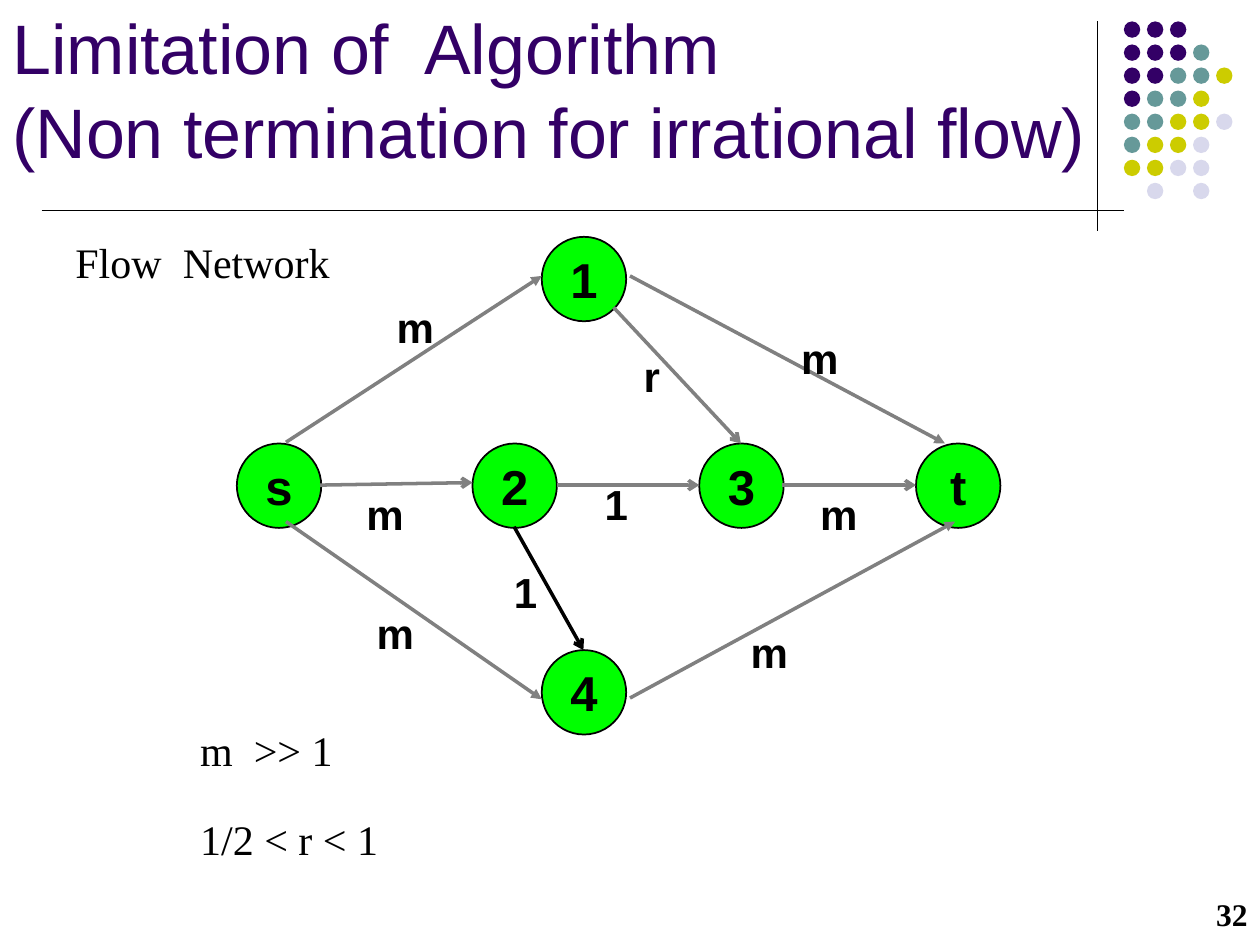
from typing import NamedTuple

from lxml.etree import SubElement
from pptx import Presentation
from pptx.dml.color import RGBColor
from pptx.enum.shapes import MSO_CONNECTOR as Connector, MSO_SHAPE as Shape
from pptx.enum.text import MSO_ANCHOR as Anchor, PP_ALIGN as Align
from pptx.oxml.ns import qn
from pptx.util import Inches, Pt

BLACK, GREY, GREEN, PURPLE = "000000", "808080", "00FF00", "330066"
SANS, SERIF = "Arial", "Times New Roman"
NODE_SIZE = 0.67
DOT_SIZE, DOT_STEP = 0.13, 0.183
DOT_COLORS = {"P": PURPLE, "T": "669999", "Y": "CCCC00", "L": "D8D8EC"}
DOT_ROWS = ["PPP", "PPPT", "PPTTY", "PTTY", "TTYYL", "TYYL", "YYLL", " L L"]


class Node(NamedTuple):
    """A vertex of the flow network."""
    name: str
    left: float
    top: float


class Edge(NamedTuple):
    """An arrow between two points."""
    start: tuple[float, float]
    end: tuple[float, float]
    head: str = "arrow"
    color: str = GREY


class Label(NamedTuple):
    """A piece of text and its box."""
    text: str
    left: float
    top: float
    width: float = 0.58
    height: float = 0.5
    font: str = SANS
    size: int = 24
    bold: bool = True
    color: str = BLACK
    align: Align = Align.LEFT
    anchor: Anchor = Anchor.TOP


NODES = [
    Node("s", 1.88, 3.52), Node("2", 3.75, 3.52), Node("3", 5.55, 3.52),
    Node("t", 7.27, 3.52), Node("1", 4.3, 1.88), Node("4", 4.3, 5.16),
]
EDGES = [
    Edge((2.27, 3.51), (4.3, 2.19), "triangle"),
    Edge((5, 2.19), (7.5, 3.52), "triangle"),
    Edge((2.27, 4.14), (4.3, 5.55), "triangle"),
    Edge((5, 5.54), (7.58, 4.14), "triangle"),
    Edge((2.54, 3.85), (3.75, 3.83)),
    Edge((4.42, 3.85), (5.55, 3.85)),
    Edge((6.21, 3.85), (7.27, 3.85)),
    Edge((4.87, 2.44), (5.88, 3.52)),
    Edge((4.08, 4.18), (4.63, 5.16), color=BLACK),
]
CAPACITIES = [
    Label("m", 3.05, 2.34), Label("m", 6.26, 2.59), Label("r", 5.01, 2.73),
    Label("m", 2.81, 3.83), Label("1", 4.7, 3.75), Label("m", 6.41, 3.83),
    Label("1", 3.98, 4.45), Label("m", 2.89, 4.77), Label("m", 5.86, 4.92),
]
NOTES = [
    Label("Flow  Network", 0.5, 1.83, 2.22, font=SERIF, bold=False),
    Label("m  >> 1", 1.49, 5.7, 1.25, font=SERIF, bold=False),
    Label("1/2 < r < 1", 1.49, 6.41, 1.61, font=SERIF, bold=False),
]
TITLE = Label("Limitation of  Algorithm\v(Non termination for irrational flow)",
              0, 0.25, 9.67, 1.17, size=40, bold=False, color=PURPLE,
              anchor=Anchor.BOTTOM)
PAGE_NUMBER = Label("32", 8.08, 7, 1.92, font=SERIF, size=18,
                    align=Align.RIGHT, anchor=Anchor.MIDDLE)


def rgb(color: str) -> RGBColor:
    """Turn a hex string into a colour."""
    return RGBColor.from_string(color)


def write_text(shape, label: Label, wrap: bool) -> None:
    """Fill a shape with the text of a label and format it."""
    frame = shape.text_frame
    frame.word_wrap = wrap
    frame.vertical_anchor = label.anchor
    paragraph = frame.paragraphs[0]
    paragraph.text = label.text
    paragraph.alignment = label.align
    for run in paragraph.runs:
        run.font.name = label.font
        run.font.size = Pt(label.size)
        run.font.bold = label.bold
        run.font.color.rgb = rgb(label.color)


def add_label(slide, label: Label, wrap: bool = True) -> None:
    """Add a text box."""
    box = slide.shapes.add_textbox(Inches(label.left), Inches(label.top),
                                   Inches(label.width), Inches(label.height))
    write_text(box, label, wrap)


def add_circle(slide, left: float, top: float, size: float, color: str):
    """Add a filled circle without an outline."""
    circle = slide.shapes.add_shape(Shape.OVAL, Inches(left), Inches(top),
                                    Inches(size), Inches(size))
    circle.shadow.inherit = False
    circle.fill.solid()
    circle.fill.fore_color.rgb = rgb(color)
    circle.line.fill.background()
    return circle


def add_node(slide, node: Node) -> None:
    """Add a named vertex."""
    circle = add_circle(slide, node.left, node.top, NODE_SIZE, GREEN)
    circle.line.color.rgb = rgb(BLACK)
    circle.line.width = Pt(1)
    name = Label(node.name, node.left, node.top, size=28,
                 align=Align.CENTER, anchor=Anchor.MIDDLE)
    write_text(circle, name, wrap=False)


def add_line(slide, start: tuple[float, float], end: tuple[float, float],
             color: str, width: float):
    """Add a straight line."""
    line = slide.shapes.add_connector(Connector.STRAIGHT,
                                      *map(Inches, start + end))
    line.line.color.rgb = rgb(color)
    line.line.width = Pt(width)
    SubElement(line._element.spPr, qn("a:effectLst"))
    return line


def add_edge(slide, edge: Edge) -> None:
    """Add an arrow of the network."""
    arrow = add_line(slide, edge.start, edge.end, edge.color, 2)
    SubElement(arrow.line._get_or_add_ln(), qn("a:tailEnd"), type=edge.head)


def add_decoration(slide) -> None:
    """Add the two rules and the dot pattern."""
    add_line(slide, (8.71, 0.17), (8.71, 1.83), BLACK, 0.75)
    for row, codes in enumerate(DOT_ROWS):
        for column, code in enumerate(codes):
            if code in DOT_COLORS:
                add_circle(slide, 8.92 + column * DOT_STEP,
                           0.17 + row * DOT_STEP, DOT_SIZE, DOT_COLORS[code])
    add_line(slide, (0.33, 1.67), (8.92, 1.67), BLACK, 0.75)


def build() -> None:
    """Build and save the presentation."""
    presentation = Presentation()
    presentation.slide_width = Inches(10)
    presentation.slide_height = Inches(7.5)
    slide = presentation.slides.add_slide(presentation.slide_layouts[6])
    add_decoration(slide)
    for node in NODES:
        add_node(slide, node)
    for edge in EDGES:
        add_edge(slide, edge)
    for label in [*CAPACITIES, PAGE_NUMBER, TITLE]:
        add_label(slide, label)
    for note in NOTES:
        add_label(slide, note, wrap=False)
    presentation.save("out.pptx")


build()
